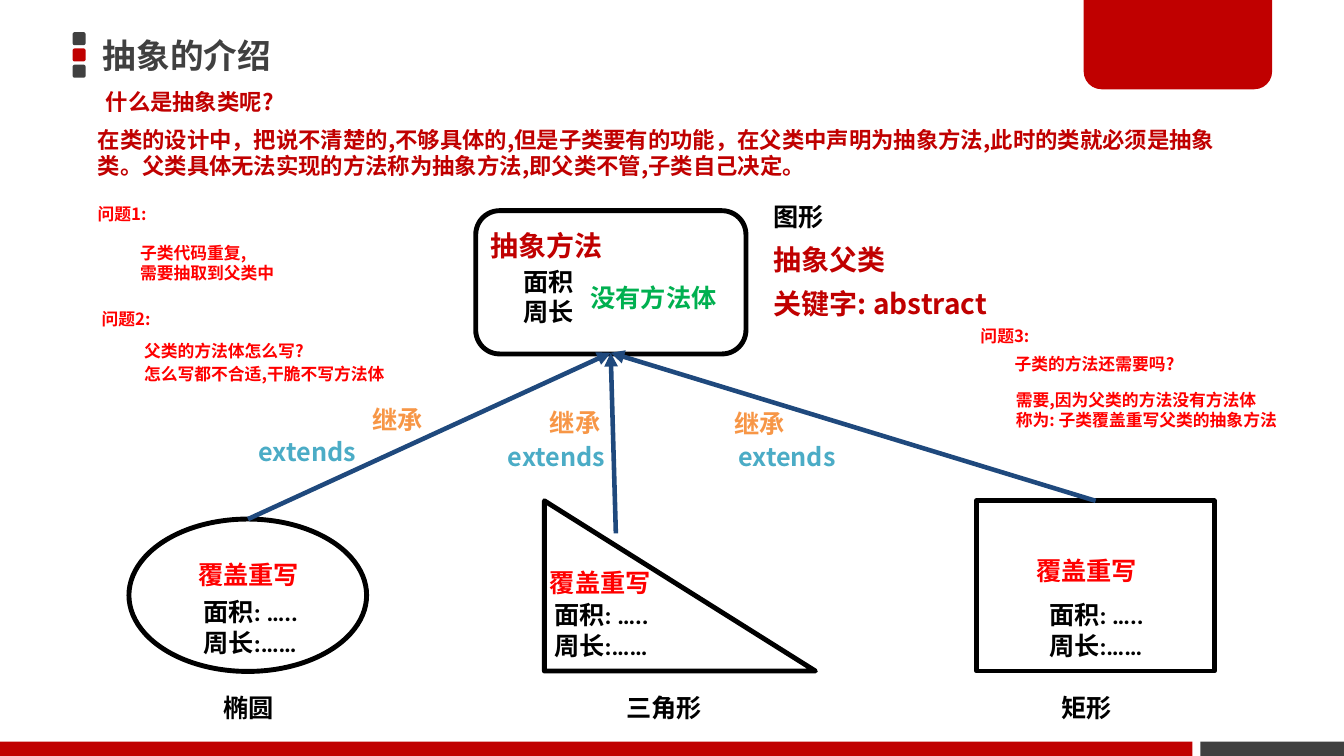
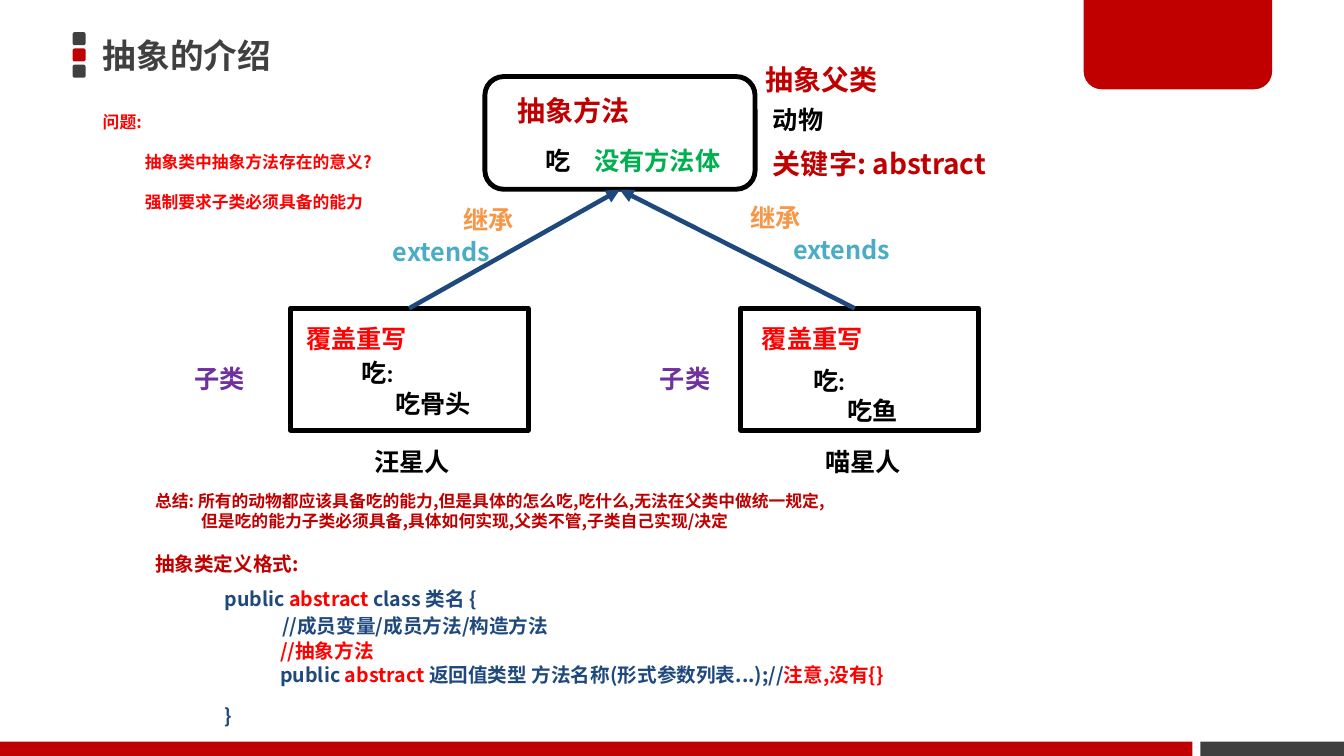
from typing import Any, NamedTuple
import lxml.etree
import pptx
import pptx.dml.color
import pptx.enum.lang
import pptx.enum.shapes
import pptx.enum.text
import pptx.oxml.ns
import pptx.util

Cm = pptx.util.Cm
Pt = pptx.util.Pt
RGBColor = pptx.dml.color.RGBColor
Form = pptx.enum.shapes.MSO_SHAPE
Fit = pptx.enum.text.MSO_AUTO_SIZE
qn = pptx.oxml.ns.qn

BLACK = RGBColor(0x00, 0x00, 0x00)
WHITE = RGBColor(0xFF, 0xFF, 0xFF)
GRAY = RGBColor(0x40, 0x40, 0x40)
WINE = RGBColor(0xC0, 0x00, 0x00)
RED = RGBColor(0xFF, 0x00, 0x00)
NAVY = RGBColor(0x1F, 0x49, 0x7D)
GOLD = RGBColor(0xF7, 0x96, 0x46)
TEAL = RGBColor(0x4B, 0xAC, 0xC6)
GREEN = RGBColor(0x00, 0xB0, 0x50)
PLUM = RGBColor(0x70, 0x30, 0xA0)

SANS = "Noto Sans CJK SC"
HEAD = "Noto Sans CJK JP"
LEAD = 1.2


class Look(NamedTuple):
    size: int
    color: RGBColor
    font: str = SANS


class Note(NamedTuple):
    look: Look
    x: float
    y: float
    w: float
    text: str
    indent: float = 0
    gap: int = 0


class Box(NamedTuple):
    form: Any
    x: float
    y: float
    w: float
    h: float
    fill: RGBColor | None = None
    line: RGBColor | None = BLACK
    bends: tuple[float, ...] = ()


class Arrow(NamedTuple):
    x: float
    y: float
    to_x: float
    to_y: float


TITLE = Look(24, GRAY, HEAD)
BODY = Look(16, WINE, HEAD)
LABEL = Look(18, BLACK)
CALC = Look(18, BLACK, "Calibri")
ASK = Look(12, RED)
SUM = Look(12, WINE)
RULE = Look(14, WINE)
CODE = Look(14, NAVY)
KEY = Look(20, WINE)
COVER = Look(18, RED)
HEIR = Look(18, GOLD)
WORD = Look(18, TEAL)
EMPTY = Look(18, GREEN)
CHILD = Look(18, PLUM)


def apply(target: Any, values: dict[str, Any]) -> None:
    for name, value in values.items():
        setattr(target, name, value)


def write(frame: Any, look: Look, text: str, indent: float = 0, gap: int = 0) -> None:
    for row, line in enumerate(text.split("\n")):
        para = frame.paragraphs[0] if row == 0 else frame.add_paragraph()
        apply(para, {
            "alignment": pptx.enum.text.PP_ALIGN.LEFT,
            "line_spacing": Pt(look.size * LEAD),
            "space_before": Pt(gap if row else 0),
        })
        props = para._p.get_or_add_pPr()
        props.set("marL", str(int(Cm(indent if row else 0))))
        props.set("indent", "0")
        for turn, part in enumerate(line.split("|")):
            if not part:
                continue
            run = para.add_run()
            run.text = part
            apply(run.font, {
                "size": Pt(look.size),
                "bold": True,
                "name": look.font,
                "language_id": pptx.enum.lang.MSO_LANGUAGE_ID.SIMPLIFIED_CHINESE,
            })
            run.font.color.rgb = RED if turn % 2 else look.color
            face = SANS if look.font == "Calibri" else look.font
            lxml.etree.SubElement(run._r.get_or_add_rPr(), qn("a:ea"), typeface=face)


def add_note(slide: Any, note: Note) -> None:
    rows = note.text.count("\n") + 1
    high = Pt(rows * note.look.size * LEAD + (rows - 1) * note.gap + 7.2)
    frame = slide.shapes.add_textbox(Cm(note.x), Cm(note.y), Cm(note.w), high).text_frame
    apply(frame, {"word_wrap": True, "auto_size": Fit.SHAPE_TO_FIT_TEXT})
    write(frame, note.look, note.text, note.indent, note.gap)


def add_box(slide: Any, box: Box) -> Any:
    shape = slide.shapes.add_shape(box.form, Cm(box.x), Cm(box.y), Cm(box.w), Cm(box.h))
    shape.shadow.inherit = False
    for spot, bend in enumerate(box.bends):
        shape.adjustments[spot] = bend
    if box.fill is None:
        shape.fill.background()
    else:
        shape.fill.solid()
        shape.fill.fore_color.rgb = box.fill
    if box.line is None:
        shape.line.fill.background()
    else:
        shape.line.color.rgb = box.line
        shape.line.width = Pt(3.5)
    return shape


def add_arrow(slide: Any, arrow: Arrow) -> None:
    link = slide.shapes.add_connector(
        pptx.enum.shapes.MSO_CONNECTOR.STRAIGHT,
        Cm(arrow.x), Cm(arrow.y), Cm(arrow.to_x), Cm(arrow.to_y))
    link.line.color.rgb = NAVY
    link.line.width = Pt(3.25)
    props = link.element.spPr
    lxml.etree.SubElement(props.find(qn("a:ln")), qn("a:tailEnd"), type="triangle")
    lxml.etree.SubElement(props, qn("a:effectLst"))


def fill_holder(holder: Any, look: Look, text: str) -> None:
    frame = holder.text_frame
    apply(frame, {
        "auto_size": Fit.NONE,
        "word_wrap": True,
        "vertical_anchor": pptx.enum.text.MSO_ANCHOR.MIDDLE,
    })
    write(frame, look, text)
    for para in frame.paragraphs:
        lxml.etree.SubElement(para._p.get_or_add_pPr(), qn("a:buNone"))


def place(shape: Any, x: float, y: float, w: float, h: float) -> None:
    apply(shape, {"left": Cm(x), "top": Cm(y), "width": Cm(w), "height": Cm(h)})


def spread(look: Look, w: float, text: str, *spots: tuple[float, float]) -> list[Note]:
    return [Note(look, x, y, w, text) for x, y in spots]


def add_all(slide: Any, boxes: list[Box], arrows: list[Arrow], notes: list[Note]) -> None:
    for box in boxes:
        add_box(slide, box)
    for arrow in arrows:
        add_arrow(slide, arrow)
    for note in notes:
        add_note(slide, note)


def dress(master: Any, slide: Any) -> None:
    parts = [
        Box(Form.ROUNDED_RECTANGLE, 1.83, 0.81 + 0.41 * row, 0.33, 0.33, color, None)
        for row, color in enumerate((GRAY, WINE, GRAY))
    ]
    parts += [
        Box(Form.RECTANGLE, 30.25, 18.69, 3.62, 0.36, GRAY, None),
        Box(Form.ROUND_2_SAME_RECTANGLE, 27.31, 0, 4.75, 2.25, WINE, None, (0, 0.2)),
        Box(Form.RECTANGLE, 0, 18.69, 30.05, 0.36, WINE, None),
    ]
    for rank, part in enumerate(parts):
        node = add_box(slide, part).element
        node.nvSpPr.cNvPr.set("id", str(100 + rank))
        master.shapes.element.insert(2 + rank, node)
    for holder in master.placeholders:
        if holder.placeholder_format.type == pptx.enum.shapes.PP_PLACEHOLDER.TITLE:
            place(holder, 2.34, 0.66, 24.36, 1.45)


deck = pptx.Presentation()
apply(deck, {"slide_width": Cm(33.87), "slide_height": Cm(19.05)})
first = deck.slides.add_slide(deck.slide_layouts[3])
second = deck.slides.add_slide(deck.slide_layouts[5])
dress(deck.slide_master, first)
for slide in (first, second):
    fill_holder(slide.shapes.title, TITLE, "抽象的介绍")

lead, about = first.placeholders[1], first.placeholders[2]
place(lead, 2.41, 2.11, 5.13, 0.91)
fill_holder(lead, BODY, "什么是抽象类呢?")
place(about, 2.21, 3.35, 28.83, 0.99)
fill_holder(about, BODY, (
    "在类的设计中，把说不清楚的,不够具体的,但是子类要有的功能，"
    "在父类中声明为抽象方法,此时的类就必须是抽象类。"
    "父类具体无法实现的方法称为抽象方法,即父类不管,子类自己决定。"))

add_all(first, [
    Box(Form.OVAL, 3.25, 13.08, 5.99, 3.84),
    Box(Form.ISOSCELES_TRIANGLE, 13.72, 12.62, 6.83, 4.29, bends=(0,)),
    Box(Form.RECTANGLE, 24.61, 12.62, 5.99, 4.29),
    Box(Form.ROUNDED_RECTANGLE, 11.99, 5.31, 6.81, 3.61, WHITE),
], [
    Arrow(x, y, 15.39, 8.89) for x, y in ((6.25, 13.08), (15.52, 13.44), (27.61, 12.62))
], [
    Note(LABEL, 5.38, 17.32, 1.88, "椭圆"),
    Note(LABEL, 15.54, 17.32, 3.02, "三角形"),
    Note(LABEL, 26.49, 17.32, 2.67, "矩形"),
    *spread(CALC, 3.51, "面积: …..\n周长:……", (4.88, 14.91), (13.72, 14.99), (26.19, 14.99)),
    Note(ASK, 2.21, 5, 2.67, "问题1:"),
    Note(ASK, 3.28, 5.99, 8.71, "子类代码重复,\n需要抽取到父类中"),
    Note(ASK, 2.31, 7.65, 2.67, "问题2:"),
    Note(ASK, 3.38, 8.46, 8.71, "父类的方法体怎么写?"),
    Note(ASK, 3.38, 9.04, 9.58, "怎么写都不合适,干脆不写方法体"),
    Note(LABEL, 19.25, 4.95, 2.67, "图形"),
    Note(CALC, 12.95, 6.58, 3.51, "面积\n周长"),
    *spread(HEIR, 1.83, "继承", (9.14, 10.06), (13.61, 10.13), (18.26, 10.16)),
    *spread(WORD, 3.2, "extends", (6.27, 10.87), (12.55, 11), (18.36, 11)),
    Note(EMPTY, 14.63, 6.99, 5.56, "没有方法体"),
    Note(KEY, 12.12, 5.64, 4.83, "抽象方法"),
    Note(KEY, 19.25, 5.99, 4.83, "抽象父类"),
    Note(KEY, 19.25, 7.09, 6.55, "关键字: abstract"),
    Note(ASK, 24.46, 8.08, 2.67, "问题3:"),
    Note(ASK, 25.32, 8.79, 8.5, "子类的方法还需要吗?"),
    Note(ASK, 25.35, 9.7, 8.5, "需要,因为父类的方法没有方法体\n称为: 子类覆盖重写父类的抽象方法"),
    *spread(COVER, 3.15, "覆盖重写", (4.75, 13.97), (13.61, 14.17), (25.86, 13.87)),
])

add_all(second, [
    Box(Form.RECTANGLE, 18.67, 7.77, 5.99, 3.07),
    Box(Form.RECTANGLE, 7.32, 7.77, 5.99, 3.07),
    Box(Form.ROUNDED_RECTANGLE, 12.22, 1.93, 6.81, 2.84, WHITE),
], [
    Arrow(x, 7.77, 15.62, 4.78) for x in (10.31, 21.54)
], [
    Note(LABEL, 20.55, 11.13, 2.67, "喵星人"),
    Note(LABEL, 9.19, 11.13, 2.67, "汪星人"),
    Note(CALC, 20.24, 9.07, 3.51, "吃:\n吃鱼", 0.86),
    Note(CALC, 8.86, 8.89, 3.51, "吃:\n吃骨头", 0.86),
    Note(LABEL, 19.23, 2.51, 2.67, "动物"),
    Note(CALC, 13.51, 3.53, 3.51, "吃"),
    *spread(HEIR, 1.83, "继承", (11.43, 5.03), (18.67, 4.98)),
    *spread(WORD, 3.2, "extends", (9.65, 5.82), (19.74, 5.79)),
    Note(EMPTY, 14.73, 3.53, 5.56, "没有方法体"),
    Note(KEY, 12.78, 2.24, 4.83, "抽象方法"),
    Note(KEY, 19.05, 1.45, 4.83, "抽象父类"),
    Note(KEY, 19.23, 3.56, 6.55, "关键字: abstract"),
    *spread(CHILD, 2.67, "子类", (4.65, 9.02), (16.38, 9.02)),
    *spread(COVER, 3.15, "覆盖重写", (7.47, 8.03), (18.95, 8.03)),
    Note(ASK, 2.34, 2.69, 2.67, "问题:"),
    Note(ASK, 3.4, 3.71, 8.71, "抽象类中抽象方法存在的意义?"),
    Note(ASK, 3.4, 4.7, 8.71, "强制要求子类必须具备的能力"),
    Note(SUM, 3.66, 12.24, 27.61, (
        "总结: 所有的动物都应该具备吃的能力,但是具体的怎么吃,吃什么,无法在父类中做统一规定,\n"
        "但是吃的能力子类必须具备,具体如何实现,父类不管,子类自己实现/决定"), 1.16),
    Note(RULE, 3.66, 13.79, 27.61, "抽象类定义格式:"),
    Note(CODE, 5.41, 14.66, 27.61, "public |abstract| class 类名 {\n}", gap=67),
    Note(CODE, 6.86, 15.34, 26.5, "//成员变量/成员方法/构造方法"),
    Note(CODE, 6.81, 15.98, 26.5, "|//抽象方法"),
    Note(CODE, 6.81, 16.59, 26.5,
         "public |abstract |返回值类型 方法名称(形式参数列表...);//|注意,没有{}"),
])

deck.save("out.pptx")
